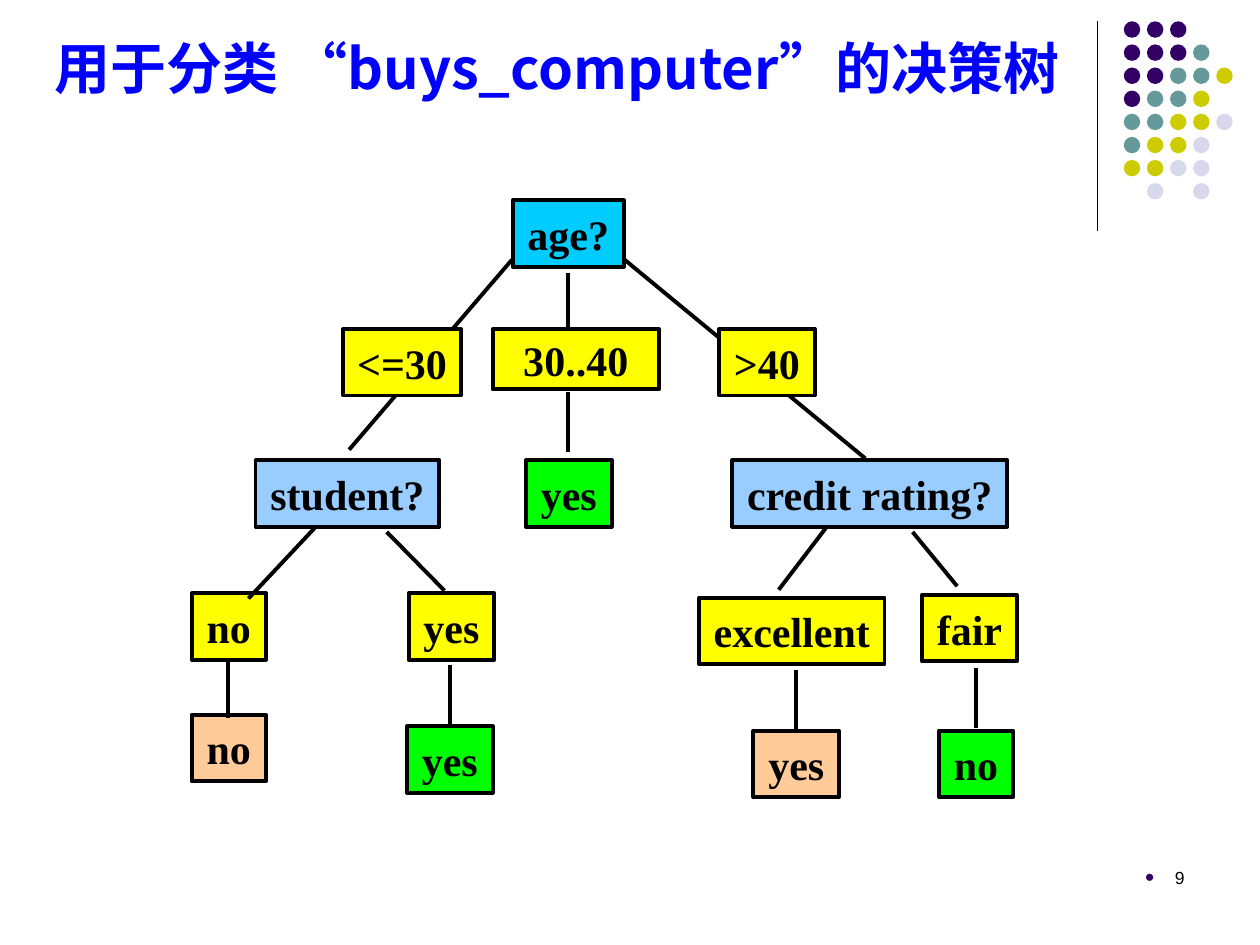
from lxml.etree import SubElement
from pptx import Presentation
from pptx.dml.color import RGBColor
from pptx.enum.shapes import MSO_CONNECTOR, MSO_SHAPE
from pptx.enum.text import MSO_ANCHOR, PP_ALIGN
from pptx.oxml.ns import qn
from pptx.util import Pt

COLORS = {
    "ink": "000000", "title": "0000FF",
    "root": "00CCFF", "test": "99CCFF", "branch": "FFFF00",
    "positive": "00FF00", "negative": "FFCC99",
    "purple": "330066", "teal": "669999", "olive": "CCCC00", "lilac": "D8D8EC",
}
DOT_ROWS = ["PPP", "PPPT", "PPTTY", "PTTY", "TTYYL", "TYYL", "YYLL", " L L"]
DOT_COLORS = {"P": "purple", "T": "teal", "Y": "olive", "L": "lilac"}
DOT_LEFT, DOT_TOP, DOT_SIZE, DOT_PITCH = 642.2, 12.2, 9.4, 13.2
NODE_HEIGHT = 38

BRANCHES = [
    (292.5, 148.5, 199.5, 257),
    (324.5, 156, 324.5, 199.5),
    (357, 148.5, 494.5, 262),
]
NODES = [
    ("age?", "root", 293, 114.5, 63.5),
    ("<=30", "branch", 196, 188, 67.5),
    (">40", "branch", 411, 188, 54.5),
    ("student?", "test", 146, 263, 105),
    ("yes", "positive", 300.5, 263, 49),
    ("credit rating?", "test", 418.5, 263, 157),
    ("no", "branch", 109.5, 339, 42.5),
    ("yes", "branch", 233.5, 339, 49),
    ("excellent", "branch", 399.5, 341.5, 106),
    ("fair", "branch", 527, 340, 54),
    ("no", "negative", 109.5, 408.5, 42.5),
    ("yes", "positive", 232.5, 415, 49),
    ("yes", "negative", 430.5, 417.5, 49),
    ("no", "positive", 536.5, 417.5, 42.5),
]
TWIGS = [
    (324.5, 224, 324.5, 258.5),
    (180.5, 301, 142, 342),
    (221, 304, 254, 337.5),
    (472.5, 301, 445, 337),
    (521.5, 304, 547, 335),
    (130.5, 376, 130.5, 410.5),
    (257, 380, 257, 414.5),
    (455, 383, 455, 417.5),
    (557.5, 381.5, 557.5, 416),
]


class TreePage:
    title_font = "Noto Sans CJK SC"
    node_font = "Times New Roman"
    number_font = "Arial"
    line_width = 2.25

    def __init__(self, deck):
        self.page = deck.slides.add_slide(deck.slide_layouts[5])
        self.shapes = self.page.shapes

    def color(self, name):
        return RGBColor.from_string(COLORS[name])

    def set_text(self, frame, text, font, size, color, align, bold=False):
        paragraph = frame.paragraphs[0]
        paragraph.text = text
        paragraph.alignment = align
        paragraph.font.name = font
        paragraph.font.size = Pt(size)
        paragraph.font.bold = bold
        paragraph.font.color.rgb = self.color(color)
        return paragraph

    def title(self, text, left, top, width, height):
        box = self.shapes.title
        box.left, box.top, box.width, box.height = map(Pt, (left, top, width, height))
        frame = box.text_frame
        frame.word_wrap = True
        frame.vertical_anchor = MSO_ANCHOR.BOTTOM
        paragraph = self.set_text(frame, text, self.title_font, 32, "title", PP_ALIGN.CENTER, True)
        span = paragraph.runs[0]
        span.font.name = self.title_font
        latin = span._r.rPr.find(qn("a:latin"))
        latin.addnext(latin.makeelement(qn("a:ea"), {"typeface": self.title_font}))

    def line(self, start_x, start_y, end_x, end_y, width=line_width):
        connector = self.shapes.add_connector(
            MSO_CONNECTOR.STRAIGHT, Pt(start_x), Pt(start_y), Pt(end_x), Pt(end_y))
        connector.line.color.rgb = self.color("ink")
        connector.line.width = Pt(width)
        SubElement(connector._element.spPr, qn("a:effectLst"))

    def shape(self, kind, fill, left, top, width, height):
        shape = self.shapes.add_shape(kind, Pt(left), Pt(top), Pt(width), Pt(height))
        shape.shadow.inherit = False
        shape.fill.solid()
        shape.fill.fore_color.rgb = self.color(fill)
        shape.line.fill.background()
        return shape

    def dots(self):
        for row, letters in enumerate(DOT_ROWS):
            for column, letter in enumerate(letters):
                if letter in DOT_COLORS:
                    self.shape(MSO_SHAPE.OVAL, DOT_COLORS[letter],
                               DOT_LEFT + column * DOT_PITCH, DOT_TOP + row * DOT_PITCH,
                               DOT_SIZE, DOT_SIZE)

    def node(self, text, fill, left, top, width, height=NODE_HEIGHT):
        box = self.shape(MSO_SHAPE.RECTANGLE, fill, left, top, width, height)
        box.line.color.rgb = self.color("ink")
        box.line.width = Pt(self.line_width)
        frame = box.text_frame
        frame.word_wrap = False
        frame.vertical_anchor = MSO_ANCHOR.MIDDLE
        self.set_text(frame, text, self.node_font, 24, "ink", PP_ALIGN.CENTER, True)

    def number(self, text, left, top, width, height):
        box = self.shapes.add_textbox(Pt(left), Pt(top), Pt(width), Pt(height))
        frame = box.text_frame
        frame.word_wrap = True
        paragraph = self.set_text(frame, text, self.number_font, 10, "ink", PP_ALIGN.RIGHT)
        properties = paragraph._p.get_or_add_pPr()
        properties.set("marL", str(Pt(17)))
        properties.set("indent", str(-Pt(17)))
        bullet = [("buClr", {}), ("buSzPct", {"val": "150000"}),
                  ("buFont", {"typeface": self.number_font}), ("buChar", {"char": "•"})]
        defaults = properties.find(qn("a:defRPr"))
        for tag, attributes in bullet:
            element = properties.makeelement(qn(f"a:{tag}"), attributes)
            defaults.addprevious(element)
            if tag == "buClr":
                SubElement(element, qn("a:srgbClr"), val=COLORS["purple"])


def main():
    deck = Presentation()
    deck.slide_width, deck.slide_height = Pt(720), Pt(540)
    tree = TreePage(deck)
    tree.line(627, 12, 627, 132, 0.75)
    tree.dots()
    tree.number("9", 516, 492, 168, 36)
    tree.title("用于分类 “buys_computer”的决策树", 11.5, 13, 613.5, 48)
    for branch in BRANCHES:
        tree.line(*branch)
    for node in NODES:
        tree.node(*node)
    tree.node("30..40", "branch", 281.5, 188, 95, 34.5)
    for twig in TWIGS:
        tree.line(*twig)
    deck.save("out.pptx")


if __name__ == "__main__":
    main()
